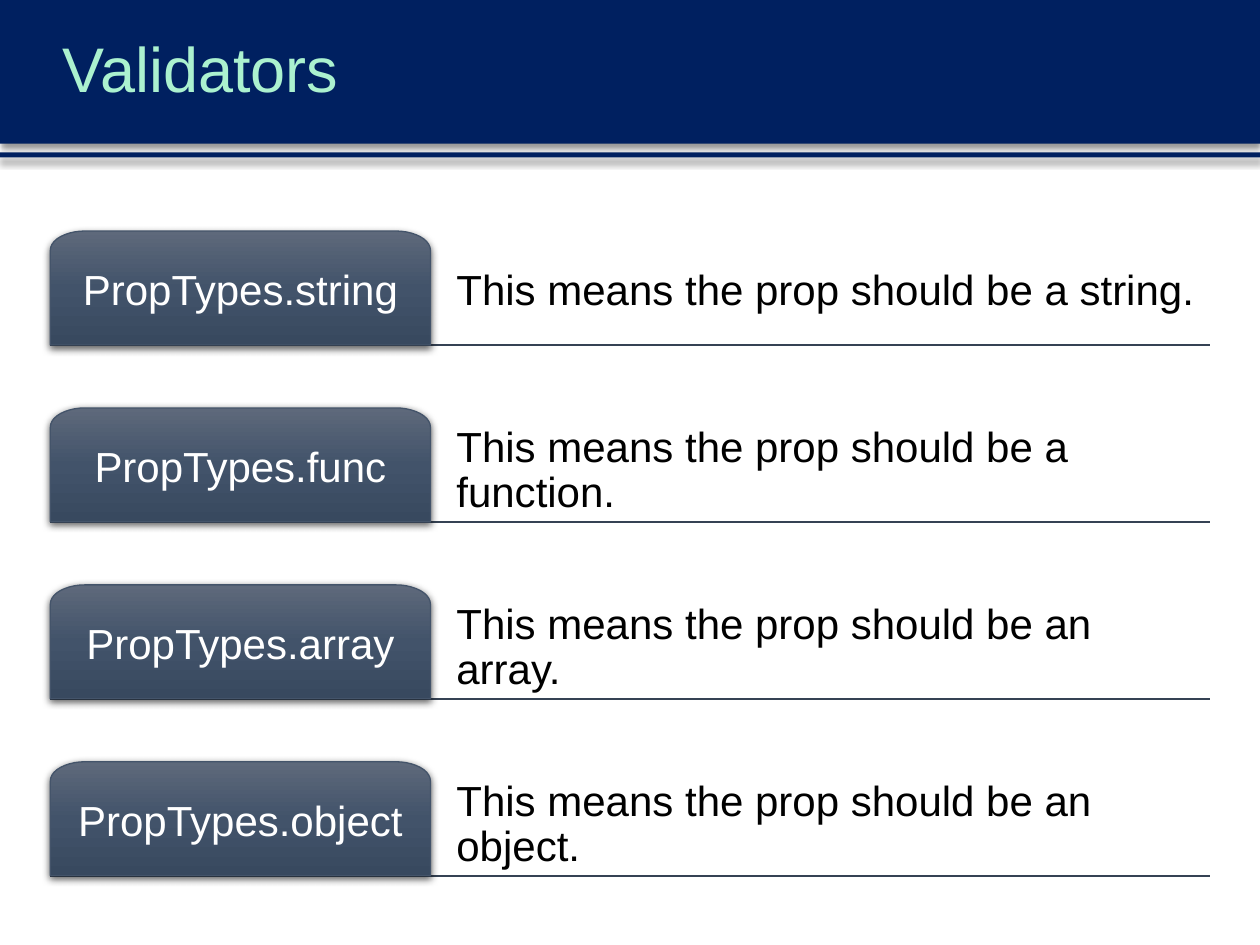
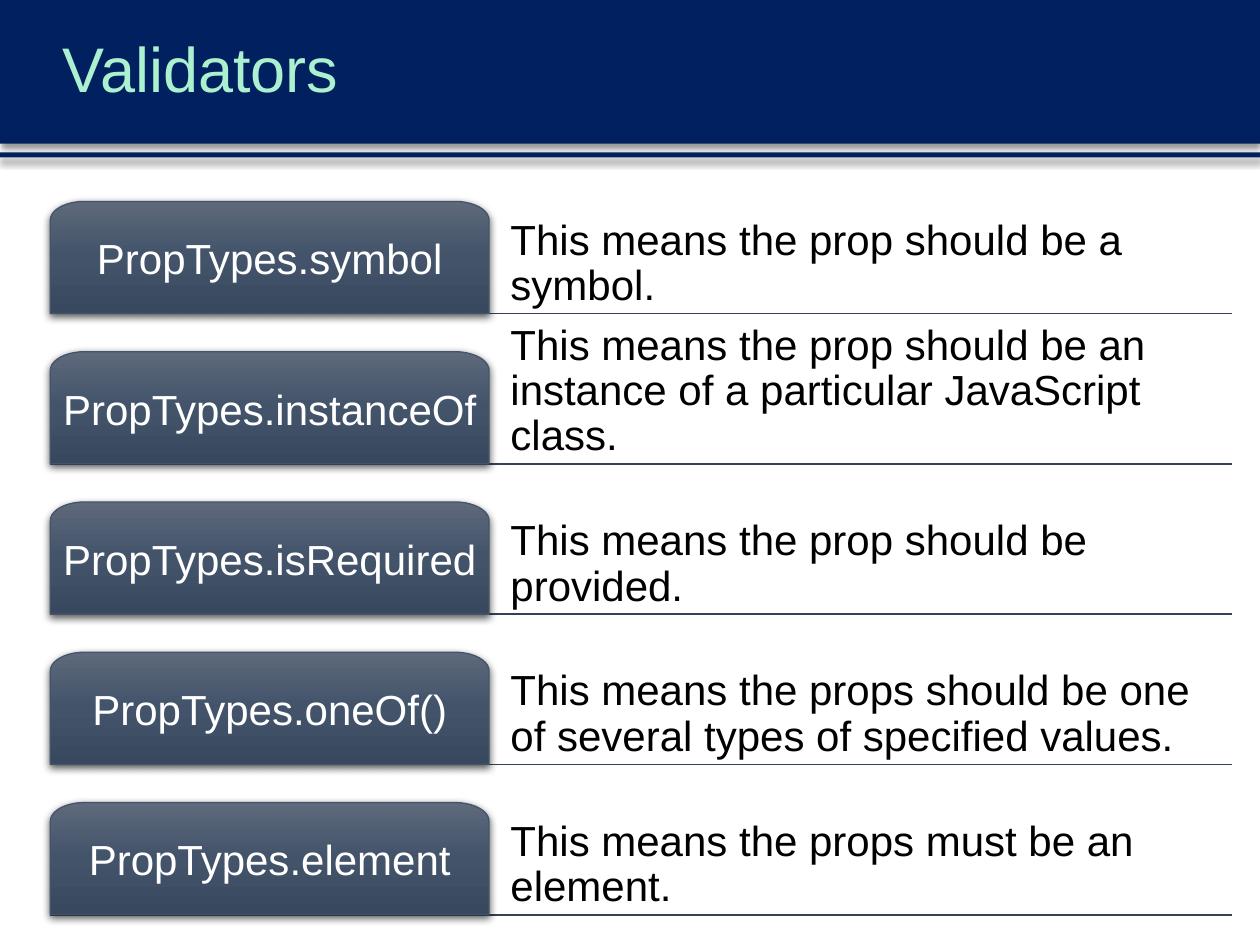
from dataclasses import dataclass
from math import cos, pi, sin

from lxml import etree
from pptx import Presentation
from pptx.dml.color import RGBColor
from pptx.enum.shapes import MSO_CONNECTOR, MSO_SHAPE
from pptx.enum.text import MSO_ANCHOR, PP_ALIGN
from pptx.oxml.ns import qn
from pptx.util import Pt

RECTANGLE = MSO_SHAPE.RECTANGLE
STRAIGHT = MSO_CONNECTOR.STRAIGHT
TOP, MIDDLE, BOTTOM = MSO_ANCHOR.TOP, MSO_ANCHOR.MIDDLE, MSO_ANCHOR.BOTTOM
LEFT, CENTER = PP_ALIGN.LEFT, PP_ALIGN.CENTER
BLANK_LAYOUT = 6
CORNER_STEPS = 10


@dataclass(frozen=True)
class Theme:
    """Colours and type sizes shared by the slides."""
    font: str = "Arial"
    band: str = "002060"
    title: str = "ABF1CF"
    body: str = "000000"
    tab_text: str = "FFFFFF"
    tab_line: str = "44546A"
    tab_gradient: tuple = ((0, "5E697B"), (50, "42536A"), (100, "38495F"))
    rule: str = "354254"
    shadow: str = "000000"
    title_size: int = 36
    body_size: int = 24


@dataclass(frozen=True)
class RowGrid:
    """Measures of the validator rows on one slide, in points."""
    first_rule: float
    pitch: float
    right: float
    tab_width: float
    tab_height: float
    corner: tuple
    description_left: float
    description_height: float
    tab_inset: float
    description_inset: float
    first_trim: float = 0
    left: float = 28.8


THEME = Theme()
SLIDE_WIDTH, SLIDE_HEIGHT = 720, 540
TITLE_HEIGHT = 82.08

TYPE_GRID = RowGrid(
    first_rule=197.1, pitch=101.1, right=691.2, tab_width=217.2,
    tab_height=65.1, corner=(20, 11), description_left=257.8,
    description_height=96.5, tab_inset=7.8, description_inset=3,
    first_trim=14.4)
RULE_GRID = RowGrid(
    first_rule=179.2, pitch=85.87, right=704.2, tab_width=250.7,
    tab_height=64.1, corner=(19.5, 10.7), description_left=289.4,
    description_height=81.4, tab_inset=6.4, description_inset=2.3)

TYPE_VALIDATORS = (
    ("PropTypes.string", "This means the prop should be a string."),
    ("PropTypes.func", "This means the prop should be a function."),
    ("PropTypes.array", "This means the prop should be an array."),
    ("PropTypes.object", "This means the prop should be an object."),
)
RULE_VALIDATORS = (
    ("PropTypes.symbol", "This means the prop should be a symbol."),
    ("PropTypes.instanceOf",
     "This means the prop should be an instance of a particular JavaScript class."),
    ("PropTypes.isRequired", "This means the prop should be provided."),
    ("PropTypes.oneOf()",
     "This means the props should be one of several types of specified values."),
    ("PropTypes.element", "This means the props must be an element."),
)


def rgb(color):
    """Return the colour for a hex string."""
    return RGBColor.from_string(color)


def write(shape, text, *, color, size, insets, anchor=TOP, align=LEFT, wrap=True):
    """Put one formatted paragraph into a shape."""
    frame = shape.text_frame
    frame.word_wrap = wrap
    frame.vertical_anchor = anchor
    (frame.margin_left, frame.margin_top,
     frame.margin_right, frame.margin_bottom) = map(Pt, insets)
    paragraph = frame.paragraphs[0]
    paragraph.alignment = align
    paragraph.line_spacing = 0.9
    run = paragraph.add_run()
    run.text = text
    run.font.name = THEME.font
    run.font.size = Pt(size)
    run.font.color.rgb = rgb(color)


def add_color(parent, color):
    """Append a colour element and return it."""
    return etree.SubElement(parent, qn("a:srgbClr"), val=color)


def cast_shadow(shape, blur, distance, opacity):
    """Give a shape a soft shadow straight below it."""
    shape.shadow.inherit = False
    effects = shape._element.spPr.find(qn("a:effectLst"))
    outer = etree.SubElement(
        effects, qn("a:outerShdw"), blurRad=str(Pt(blur)), dist=str(Pt(distance)),
        dir="5400000", algn="ctr", rotWithShape="0")
    etree.SubElement(add_color(outer, THEME.shadow), qn("a:alpha"),
                     val=str(opacity * 1000))


def fill_gradient(shape, stops):
    """Fill a shape with a gradient running from top to bottom."""
    shape.fill.background()
    properties = shape._element.spPr
    gradient = etree.Element(qn("a:gradFill"), rotWithShape="1")
    stop_list = etree.SubElement(gradient, qn("a:gsLst"))
    for position, color in stops:
        stop = etree.SubElement(stop_list, qn("a:gs"), pos=str(position * 1000))
        add_color(stop, color)
    etree.SubElement(gradient, qn("a:lin"), ang="5400000", scaled="0")
    properties.replace(properties.find(qn("a:noFill")), gradient)


def add_band(slide, top, height):
    """Draw a full-width band with a shadow."""
    band = slide.shapes.add_shape(RECTANGLE, 0, Pt(top), Pt(SLIDE_WIDTH), Pt(height))
    band.fill.solid()
    band.fill.fore_color.rgb = rgb(THEME.band)
    band.line.fill.background()
    cast_shadow(band, blur=4, distance=3, opacity=40)


def add_header(slide, title):
    """Draw the two bands and the slide title."""
    add_band(slide, 0, TITLE_HEIGHT)
    add_band(slide, 87.1, 2.9)
    heading = slide.shapes.add_textbox(Pt(28.8), 0, Pt(691.2), Pt(TITLE_HEIGHT))
    write(heading, title, color=THEME.title, size=THEME.title_size,
          insets=(7.2, 3.6, 7.2, 3.6), anchor=MIDDLE)


def add_rule(slide, left, right, y):
    """Draw the thin line under a row."""
    rule = slide.shapes.add_connector(STRAIGHT, Pt(left), Pt(y), Pt(right), Pt(y))
    rule.line.color.rgb = rgb(THEME.rule)
    rule.line.width = Pt(1)
    etree.SubElement(rule._element.spPr, qn("a:effectLst"))


def tab_outline(left, top, right, bottom, corner):
    """Return the points of a tab with elliptical upper corners."""
    rx, ry = corner
    angles = [step * pi / 2 / CORNER_STEPS for step in range(CORNER_STEPS + 1)]
    upper_left = [(left + rx - rx * cos(a), top + ry - ry * sin(a)) for a in angles]
    upper_right = [(left + right - x, y) for x, y in reversed(upper_left)]
    return [(left, bottom), *upper_left, *upper_right, (right, bottom)]


def add_tab(slide, name, grid, bottom):
    """Draw the tab that names a validator."""
    outline = [(Pt(x), Pt(y)) for x, y in tab_outline(
        grid.left, bottom - grid.tab_height, grid.left + grid.tab_width,
        bottom, grid.corner)]
    builder = slide.shapes.build_freeform(*outline[0])
    builder.add_line_segments(outline[1:], close=True)
    tab = builder.convert_to_shape()
    fill_gradient(tab, THEME.tab_gradient)
    tab.line.color.rgb = rgb(THEME.tab_line)
    tab.line.width = Pt(0.75)
    cast_shadow(tab, blur=4.5, distance=1.5, opacity=63)
    inset = grid.tab_inset
    write(tab, name, color=THEME.tab_text, size=THEME.body_size,
          insets=(inset, inset, inset, grid.description_inset),
          anchor=MIDDLE, align=CENTER, wrap=False)


def add_description(slide, text, grid, bottom, trim):
    """Write the meaning of a validator beside its tab."""
    description = slide.shapes.add_textbox(
        Pt(grid.description_left), Pt(bottom - grid.description_height),
        Pt(grid.right - grid.description_left), Pt(grid.description_height - trim))
    write(description, text, color=THEME.body, size=THEME.body_size,
          insets=(grid.description_inset,) * 4, anchor=BOTTOM)


def add_validator_slide(deck, validators, grid):
    """Add a slide listing validators with their meanings."""
    slide = deck.slides.add_slide(deck.slide_layouts[BLANK_LAYOUT])
    add_header(slide, "Validators")
    bottoms = [grid.first_rule + row * grid.pitch for row in range(len(validators))]
    for bottom in bottoms:
        add_rule(slide, grid.left, grid.right, bottom)
    for row, ((name, meaning), bottom) in enumerate(zip(validators, bottoms)):
        trim = grid.first_trim if row == 0 else 0
        add_description(slide, meaning, grid, bottom, trim)
        add_tab(slide, name, grid, bottom)


def main():
    """Build and save the deck."""
    deck = Presentation()
    deck.slide_width, deck.slide_height = Pt(SLIDE_WIDTH), Pt(SLIDE_HEIGHT)
    add_validator_slide(deck, TYPE_VALIDATORS, TYPE_GRID)
    add_validator_slide(deck, RULE_VALIDATORS, RULE_GRID)
    deck.save("out.pptx")


if __name__ == "__main__":
    main()
